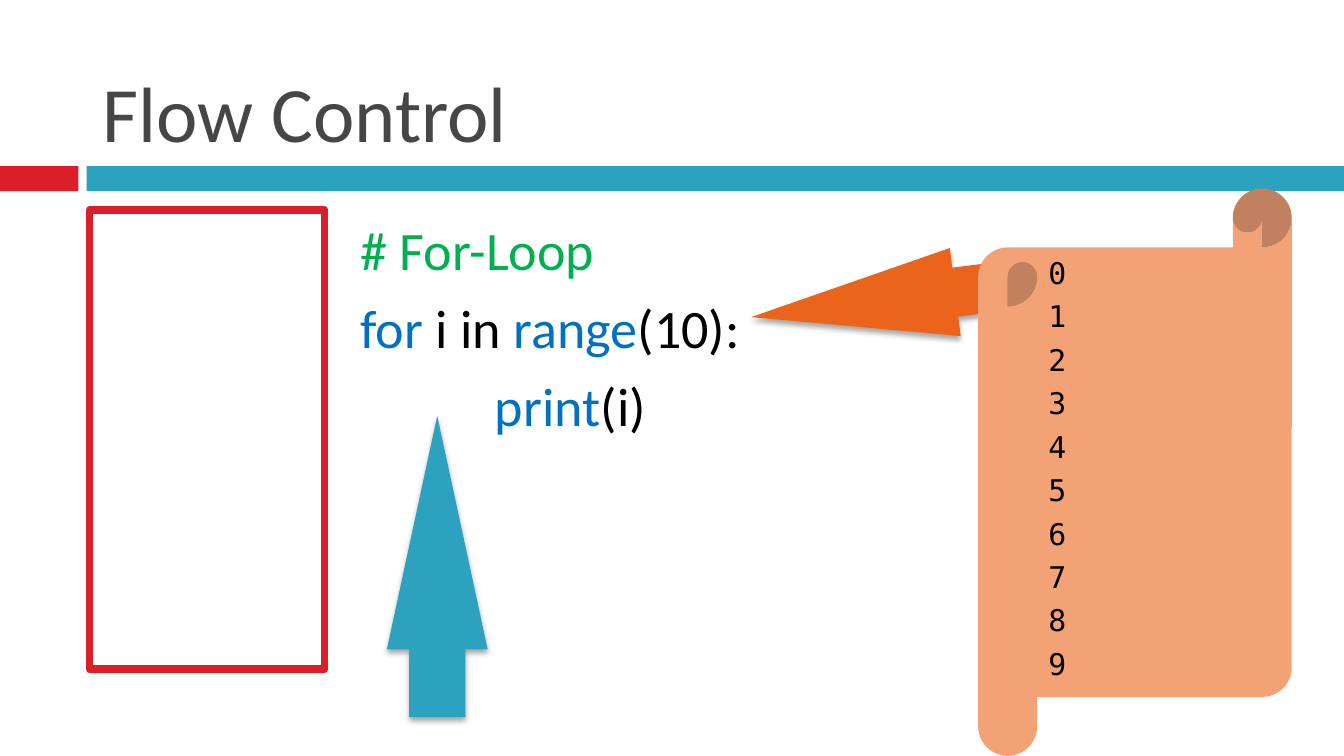
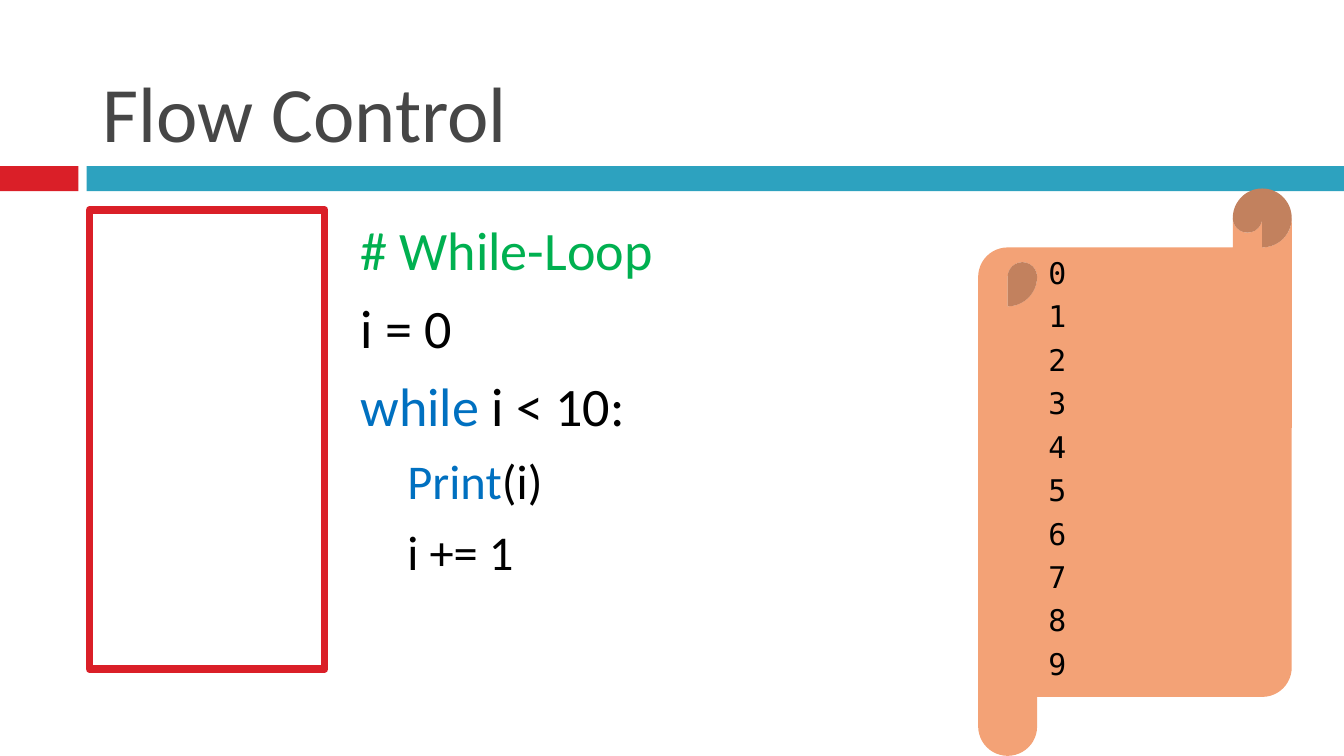
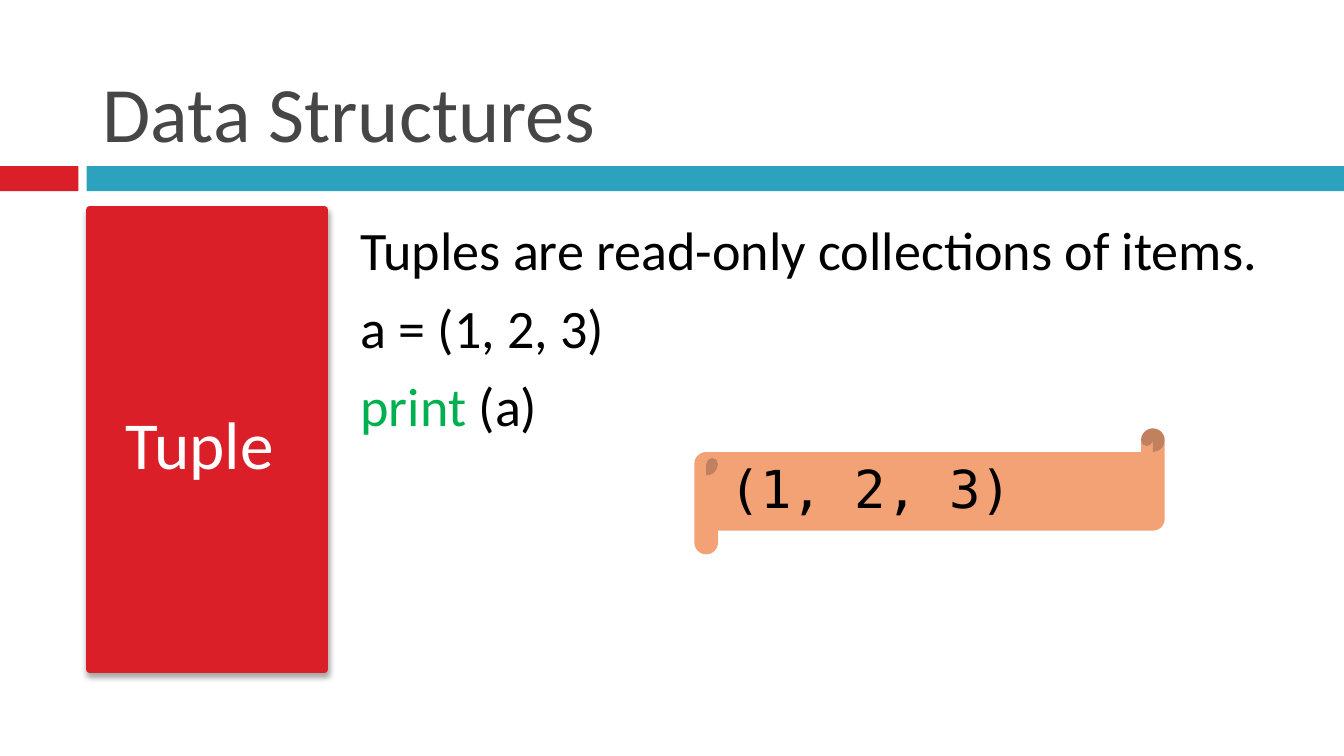
from lxml.etree import SubElement
from pptx import Presentation
from pptx.dml.color import RGBColor
from pptx.enum.shapes import MSO_SHAPE as SHAPE
from pptx.enum.text import MSO_ANCHOR as ANCHOR, MSO_AUTO_SIZE as AUTO, PP_ALIGN as ALIGN
from pptx.oxml.ns import qn
from pptx.util import Pt

THEME = {
    "font": "Calibri", "mono": "DejaVu Sans Mono",
    "title_size": 42, "label_size": 36, "code_size": 29, "nested_size": 26,
    "red": "DA1F28", "teal": "2DA2BF", "orange": "EB641B", "peach": "F3A276",
    "grey": "464646", "black": "000000", "white": "FFFFFF",
    "green": "00B050", "blue": "0070C0",
}

# Boxes are left, top, width, height in points.
BANDS = [("red", (0, 89, 42, 13.5)), ("teal", (46.5, 89, 673.5, 13.5))]
TITLE_BOX = (48, 9.5, 642, 79)
SIDEBAR_BOX = (48, 112.5, 126, 246)
CODE_BOX = (186, 112.5, 504, 252)
TALL_SCROLL = (524, 101, 168, 304)
WIDE_SCROLL = (372, 229.5, 252, 67.5)
NO_INSETS_CHANGE = (7.2, 3.6, 7.2, 3.6)
COUNT = [str(n) for n in range(10)]

# A code line is its left indent, its size and its (colour, text) runs.
TOP = (0, "code_size")
TABBED = (72, "code_size")
NESTED = (25.2, "nested_size")

SLIDES = [
    {
        "title": "Flow Control",
        "code": [
            (*TOP, [("green", "# For-Loop")]),
            (*TOP, [("blue", "for "), ("black", "i in "), ("blue", "range"), ("black", "(10):")]),
            (*TABBED, [("blue", "print"), ("black", "(i)")]),
        ],
        "arrows": [
            ("orange", (401.75, 135.25, 178.5, 47.5), 173),
            ("teal", (153.5, 276.5, 161.5, 54), 270),
        ],
        "output": (TALL_SCROLL, 16, COUNT),
    },
    {
        "title": "Flow Control",
        "code": [
            (*TOP, [("green", "# While-Loop")]),
            (*TOP, [("black", "i = 0")]),
            (*TOP, [("blue", "while "), ("black", "i < 10:")]),
            (*NESTED, [("blue", "Print"), ("black", "(i)")]),
            (*NESTED, [("black", "i += 1")]),
        ],
        "output": (TALL_SCROLL, 16, COUNT),
    },
    {
        "title": "Data Structures",
        "label": "Tuple",
        "code": [
            (*TOP, [("black", "Tuples are read-only collections of items.")]),
            (*TOP, [("black", "a = (1, 2, 3)")]),
            (*TOP, [("green", "print "), ("black", "(a)")]),
        ],
        "output": (WIDE_SCROLL, 28, ["(1, 2, 3)"]),
    },
]


def color(name):
    return RGBColor.from_string(THEME[name])


def pts(box):
    return [Pt(v) for v in box]


def set_all(obj, values):
    for name, value in values.items():
        setattr(obj, name, value)


def add_shape(s, kind, box, fill=None, line=None, adjustments=()):
    sp = s.shapes.add_shape(kind, *pts(box))
    sp.shadow.inherit = False
    for i, value in enumerate(adjustments):
        sp.adjustments[i] = value
    if fill:
        sp.fill.solid()
        sp.fill.fore_color.rgb = color(fill)
    else:
        sp.fill.background()
    if line:
        sp.line.color.rgb = color(line)
        sp.line.width = Pt(4)
    else:
        sp.line.fill.background()
    return sp


def add_shadow(sp):
    effects = sp._element.spPr.find(qn("a:effectLst"))
    shadow = SubElement(effects, qn("a:outerShdw"), blurRad=str(Pt(3)), dist=str(Pt(2)),
                        dir="5400000", rotWithShape="0")
    clr = SubElement(shadow, qn("a:srgbClr"), val=THEME["black"])
    SubElement(clr, qn("a:alpha"), val="35000")


def set_frame(sp, insets=NO_INSETS_CHANGE, anchor=ANCHOR.TOP, auto=AUTO.NONE):
    left, top, right, bottom = pts(insets)
    set_all(sp.text_frame, {
        "word_wrap": True, "auto_size": auto, "vertical_anchor": anchor,
        "margin_left": left, "margin_top": top, "margin_right": right, "margin_bottom": bottom,
    })
    return sp.text_frame


def write(tf, lines, font="font", indent_of=None, **paragraph):
    """Write (indent, size, runs) lines, all with the same paragraph format."""
    for i, (indent, size, runs) in enumerate(lines):
        p = tf.paragraphs[0] if i == 0 else tf.add_paragraph()
        set_all(p, {"alignment": ALIGN.LEFT, **paragraph})
        if indent:
            p._p.get_or_add_pPr().set("marL", str(Pt(indent)))
        for name, text in runs:
            r = p.add_run()
            r.text = text
            set_all(r.font, {"name": THEME[font], "size": Pt(THEME.get(size, size))})
            r.font.color.rgb = color(name)


def add_title(s, title):
    tf = set_frame(s.shapes.add_textbox(*pts(TITLE_BOX)), anchor=ANCHOR.BOTTOM)
    write(tf, [(0, "title_size", [("grey", title)])])


def add_sidebar(s, label):
    sp = add_shape(s, SHAPE.RECTANGLE, SIDEBAR_BOX, "red" if label else None, "red")
    if label:
        add_shadow(sp)
        tf = set_frame(sp, (7, 14.4, 15, 10.8), ANCHOR.MIDDLE)
        write(tf, [(0, "label_size", [("white", label)])], alignment=ALIGN.CENTER)


def add_code(s, lines):
    tf = set_frame(s.shapes.add_textbox(*pts(CODE_BOX)))
    write(tf, lines, space_before=Pt(7))


def add_arrow(s, fill, box, rotation):
    sp = add_shape(s, SHAPE.RIGHT_ARROW, box, fill, adjustments=(0.556, 2.318))
    sp.rotation = rotation
    add_shadow(sp)


def add_output(s, box, size, lines):
    sp = add_shape(s, SHAPE.HORIZONTAL_SCROLL, box, "peach", adjustments=(0.188,))
    tf = set_frame(sp, (6, 6, 6, 6), auto=AUTO.SHAPE_TO_FIT_TEXT)
    write(tf, [(0, size, [("black", text)]) for text in lines], "mono",
          line_spacing=0.9, space_before=Pt(6))


def main():
    prs = Presentation()
    set_all(prs, {"slide_width": Pt(720), "slide_height": Pt(405)})
    for content in SLIDES:
        s = prs.slides.add_slide(prs.slide_layouts[6])
        for fill, box in BANDS:
            add_shape(s, SHAPE.RECTANGLE, box, fill)
        add_title(s, content["title"])
        add_sidebar(s, content.get("label"))
        add_code(s, content["code"])
        for arrow in content.get("arrows", []):
            add_arrow(s, *arrow)
        add_output(s, *content["output"])
    prs.save("out.pptx")


if __name__ == "__main__":
    main()
